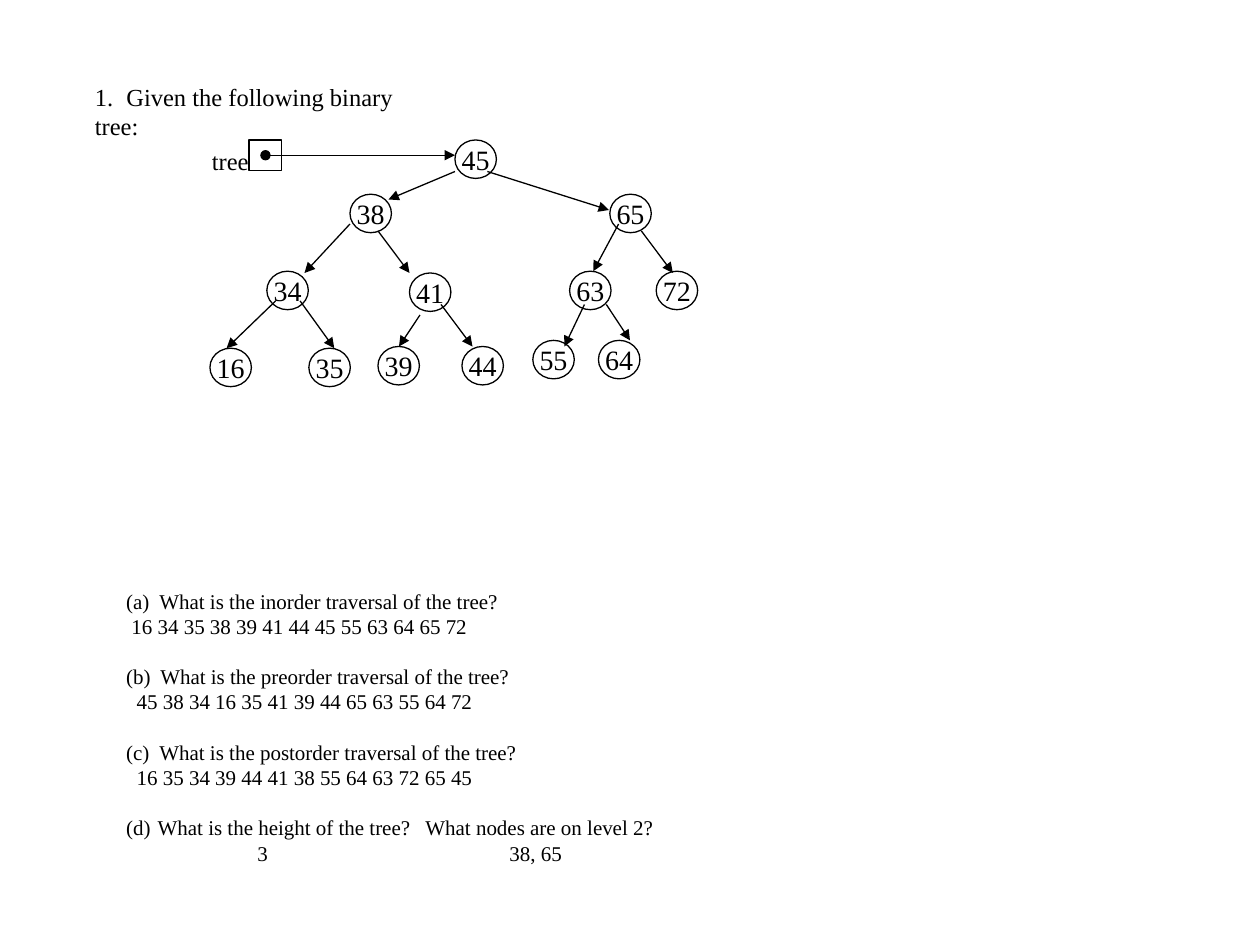
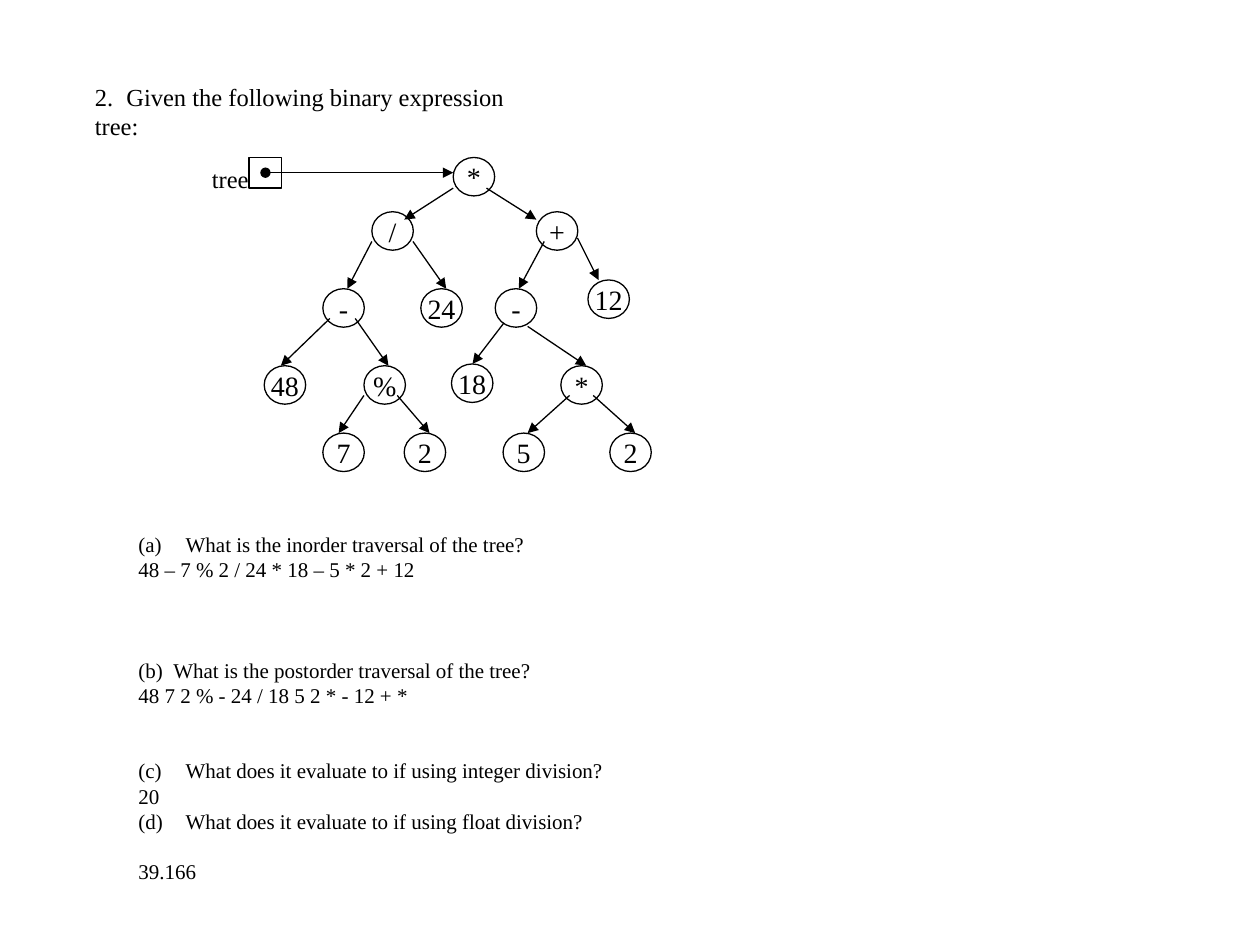
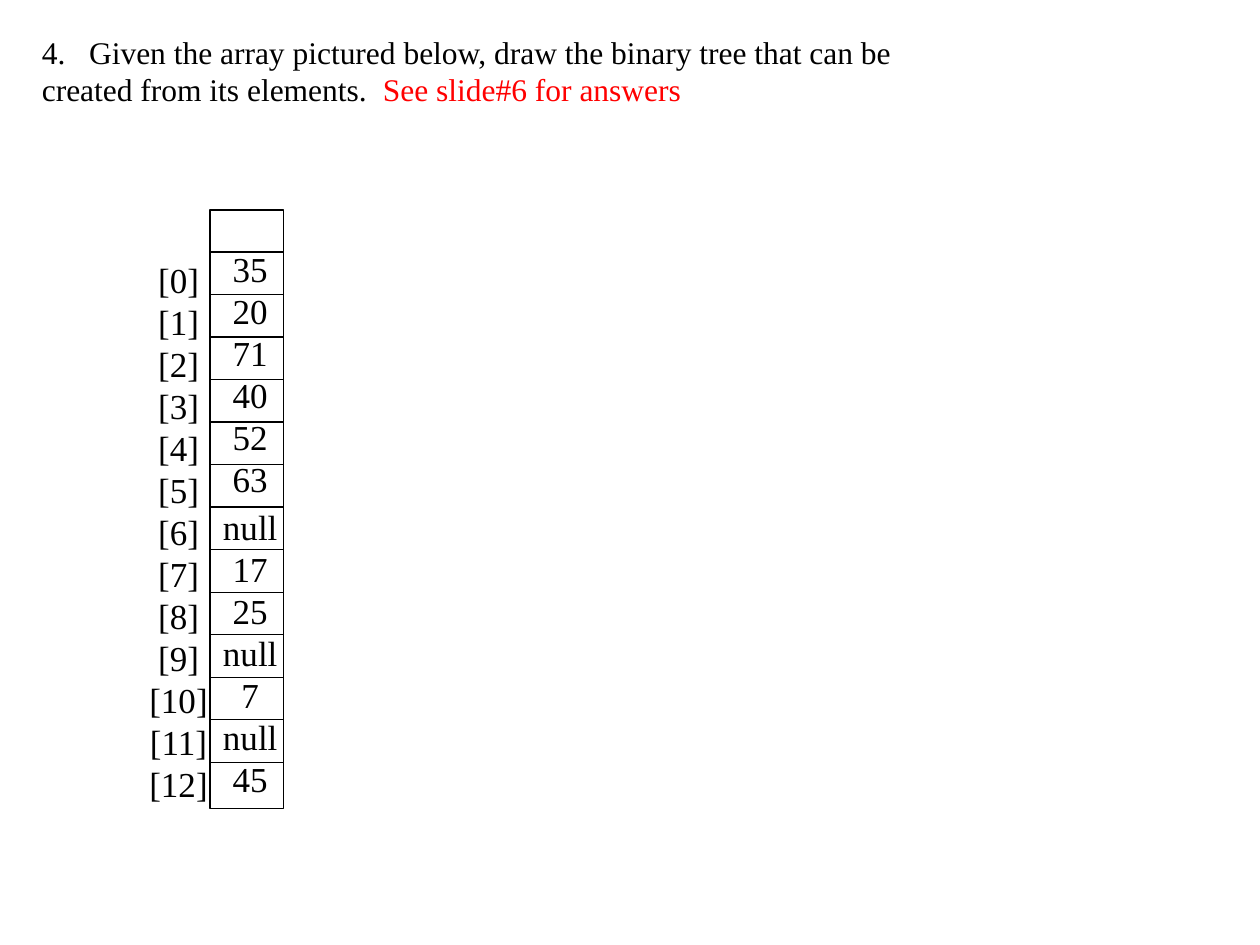
from lxml import etree
from pptx import Presentation
from pptx.dml.color import RGBColor
from pptx.enum.shapes import MSO_CONNECTOR, MSO_SHAPE
from pptx.enum.text import MSO_ANCHOR, MSO_AUTO_SIZE, PP_ALIGN
from pptx.oxml.ns import qn
from pptx.util import Pt

BLACK = RGBColor(0x00, 0x00, 0x00)
RED = RGBColor(0xFF, 0x00, 0x00)
FONT = "Times New Roman"
LEFT, CENTER = PP_ALIGN.LEFT, PP_ALIGN.CENTER
TOP, MIDDLE = MSO_ANCHOR.TOP, MSO_ANCHOR.MIDDLE
FIXED = MSO_AUTO_SIZE.NONE
OVAL, RECTANGLE = MSO_SHAPE.OVAL, MSO_SHAPE.RECTANGLE
STRAIGHT = MSO_CONNECTOR.STRAIGHT
LINE_WIDTH = Pt(0.75)
NODE_WIDTH, NODE_HEIGHT = 23.7, 22
QUESTION_LINE = 14.4


def write(frame, text, size, align=LEFT, anchor=TOP, wrap=False, tabs=()):
    """Fill a text frame, one paragraph a line, in the deck's type style."""
    frame.text = text
    frame.auto_size = FIXED
    frame.word_wrap = wrap
    frame.vertical_anchor = anchor
    for paragraph in frame.paragraphs:
        paragraph.alignment = align
        for run in paragraph.runs:
            run.font.name = FONT
            run.font.size = Pt(size)
            run.font.color.rgb = BLACK
        if tabs:
            tab_list = etree.SubElement(paragraph._p.get_or_add_pPr(), qn("a:tabLst"))
            for position in tabs:
                etree.SubElement(tab_list, qn("a:tab"), pos=str(Pt(position)), algn="l")


def draw_line(slide, x1, y1, x2, y2, head=None, tail=None):
    """Draw a thin black line with optional end marks."""
    line = slide.shapes.add_connector(STRAIGHT, Pt(x1), Pt(y1), Pt(x2), Pt(y2))
    line.line.color.rgb = BLACK
    line.line.width = LINE_WIDTH
    outline = line.line._get_or_add_ln()
    for tag, mark in (("a:headEnd", head), ("a:tailEnd", tail)):
        if mark:
            etree.SubElement(outline, qn(tag), type=mark)
    etree.SubElement(line._element.spPr, qn("a:effectLst"))


# Node: label, left, top, arrow from its parent (x1, y1, x2, y2).
search_tree = [
    ("45", 260, 80, None),
    ("38", 200, 111, (260, 98, 222, 114)),
    ("65", 348.5, 111, (278.5, 98, 348, 120)),
    ("34", 152.5, 155, (200, 128, 174, 156)),
    ("41", 234, 156, (216, 132, 234, 156)),
    ("63", 325.5, 155, (353.5, 128, 339, 155)),
    ("72", 375, 155, (366.5, 132, 384.5, 156)),
    ("16", 120, 199, (157.5, 172, 129.5, 199)),
    ("35", 176.5, 199, (171.5, 172, 191, 199)),
    ("39", 216, 198, (240, 180, 228, 198)),
    ("44", 264, 198, (252, 174, 270, 198)),
    ("55", 304.5, 194.5, (334, 174, 322.5, 198)),
    ("64", 342, 194.5, (346.5, 174, 360, 194.5)),
]
expression_tree = [
    ("*", 259, 90, None),
    ("/", 212.5, 121, (259, 107.5, 231, 125.5)),
    ("+", 306.5, 121, (278, 107.5, 306.5, 125.5)),
    ("-", 184.5, 165, (212.5, 138, 198.5, 165)),
    ("24", 240.5, 165, (236, 138, 255, 165)),
    ("-", 283, 165, (311, 138, 296.5, 165)),
    ("12", 336, 160, (330, 136, 342, 160)),
    ("48", 151, 209, (188.5, 182, 160.5, 209)),
    ("%", 208, 209, (203, 182, 222, 209)),
    ("18", 258, 208, (288, 184.5, 270, 208)),
    ("*", 320.5, 209, (301.5, 186.5, 335, 209)),
    ("7", 184.5, 247.5, (208, 226, 193.5, 247.5)),
    ("2", 231, 247.5, (227, 226, 245.5, 247.5)),
    ("5", 287.5, 247.5, (325.5, 226, 301.5, 247.5)),
    ("2", 348.5, 247.5, (339, 226, 363, 247.5)),
]

# Question line: text, list number, indent, free lines above.
search_questions = [
    ("What is the inorder traversal of the tree?", 1, 19, 0),
    ("16 34 35 38 39 41 44 45 55 63 64 65 72", None, 3, 0),
    ("What is the preorder traversal of the tree?", 2, 19.5, 1),
    ("45 38 34 16 35 41 39 44 65 63 55 64 72", None, 6, 0),
    ("What is the postorder traversal of the tree?", 3, 19, 1),
    ("16 35 34 39 44 41 38 55 64 63 72 65 45", None, 6, 0),
    ("What is the height of the tree?\tWhat nodes are on level 2?", 4, 18, 1),
    ("\t3\t38, 65", None, 0, 0),
]
expression_questions = [
    ("What is the inorder traversal of the tree?", 1, 27, 0),
    ("48 – 7 % 2 / 24 * 18 – 5 * 2 + 12", None, 0, 0),
    ("What is the postorder traversal of the tree?", 2, 20, 3),
    ("48 7 2 % - 24 / 18 5 2 * - 12 + *", None, 0, 0),
    ("What does it evaluate to if using integer division?", 3, 27, 2),
    ("20", None, 0, 0),
    ("What does it evaluate to if using float division?", 4, 27, 0),
    ("39.166", None, 0, 1),
]

tree_slides = [
    ("1.\tGiven the following binary tree:", 202, search_tree,
     search_questions, (65, 332.5, 320, 167), {6: (171,), 7: (75, 219)}),
    ("2.\tGiven the following binary expression tree:", 266, expression_tree,
     expression_questions, (72, 300, 284, 225), {}),
]

deck = Presentation()
deck.slide_width, deck.slide_height = Pt(720), Pt(540)
title_only = deck.slide_layouts[5]

# Slides 1 and 2: a tree and questions about it
for heading, heading_width, nodes, questions, question_area, question_tabs in tree_slides:
    slide = deck.slides.add_slide(title_only)
    title = slide.shapes.title
    title.left, title.top, title.width, title.height = Pt(47), Pt(43), Pt(heading_width), Pt(42)
    write(title.text_frame, heading, 14, wrap=True, tabs=(18,))

    question_box = slide.shapes.add_textbox(*(Pt(length) for length in question_area))
    write(question_box.text_frame, "\n".join(row[0] for row in questions), 12)
    for index, (paragraph, row) in enumerate(zip(question_box.text_frame.paragraphs, questions)):
        number, indent, free_lines = row[1:]
        paragraph.space_before = Pt(free_lines * QUESTION_LINE)
        properties = paragraph._p.get_or_add_pPr()
        properties.set("marL", str(Pt(indent)))
        if number:
            properties.set("indent", str(-Pt(indent)))
            etree.SubElement(properties, qn("a:buAutoNum"),
                             type="alphaLcParenBoth", startAt=str(number))
        if index in question_tabs:
            tab_list = etree.SubElement(properties, qn("a:tabLst"))
            for position in question_tabs[index]:
                etree.SubElement(tab_list, qn("a:tab"), pos=str(Pt(position)), algn="l")

    root_left, root_top = nodes[0][1:3]
    outlines = [(OVAL, left, top, NODE_WIDTH, NODE_HEIGHT, label)
                for label, left, top, arrow in nodes]
    outlines.append((RECTANGLE, 142.3, root_top, 18.7, 17.5, ""))
    for kind, left, top, width, height, label in outlines:
        outline = slide.shapes.add_shape(kind, Pt(left), Pt(top), Pt(width), Pt(height))
        outline.shadow.inherit = False
        outline.fill.background()
        outline.line.color.rgb = BLACK
        outline.line.width = LINE_WIDTH
        if label:
            write(outline.text_frame, label, 16, CENTER, MIDDLE)

    for label, left, top, arrow in nodes:
        if arrow:
            draw_line(slide, *arrow, tail="triangle")
    pointer_y = root_top + 8.7
    draw_line(slide, 151.7, pointer_y, root_left, pointer_y, head="oval", tail="triangle")
    pointer_name = slide.shapes.add_textbox(Pt(114), Pt(root_top), Pt(35), Pt(24))
    write(pointer_name.text_frame, "tree", 14)

# Slide 3: an array to turn into a tree
slide = deck.slides.add_slide(title_only)
title = slide.shapes.title
title.left, title.top, title.width, title.height = Pt(16.7), Pt(15), Pt(506), Pt(51)
write(title.text_frame,
      "4.\tGiven the array pictured below, draw the binary tree that can be "
      "created from its elements.  ", 18, wrap=True, tabs=(27,))
answer_hint = title.text_frame.paragraphs[0].add_run()
answer_hint.text = "See slide#6 for answers"
answer_hint.font.name = FONT
answer_hint.font.size = Pt(18)
answer_hint.font.color.rgb = RED

array_left, array_top, array_width, row_height = 120, 120, 42, 24.3
array_frame = slide.shapes.add_shape(
    RECTANGLE, Pt(array_left), Pt(array_top), Pt(array_width), Pt(342))
array_frame.shadow.inherit = False
array_frame.fill.background()
array_frame.line.color.rgb = BLACK
array_frame.line.width = LINE_WIDTH

values = ["35", "20", "71", "40", "52", "63", "null", "17", "25", "null", "7", "null", "45"]
for row in range(len(values)):
    row_y = 144 + row * row_height
    draw_line(slide, array_left, row_y, array_left + array_width, row_y)

index_column = slide.shapes.add_textbox(Pt(78), Pt(144), Pt(48), Pt(322))
write(index_column.text_frame, "\n".join(f"[{row}]" for row in range(len(values))), 20, CENTER)
value_column = slide.shapes.add_textbox(Pt(array_left), Pt(138), Pt(46), Pt(322))
write(value_column.text_frame, "\n".join(values), 20, CENTER)
value_column.text_frame.paragraphs[values.index("null")].space_before = Pt(3)

deck.save("out.pptx")
